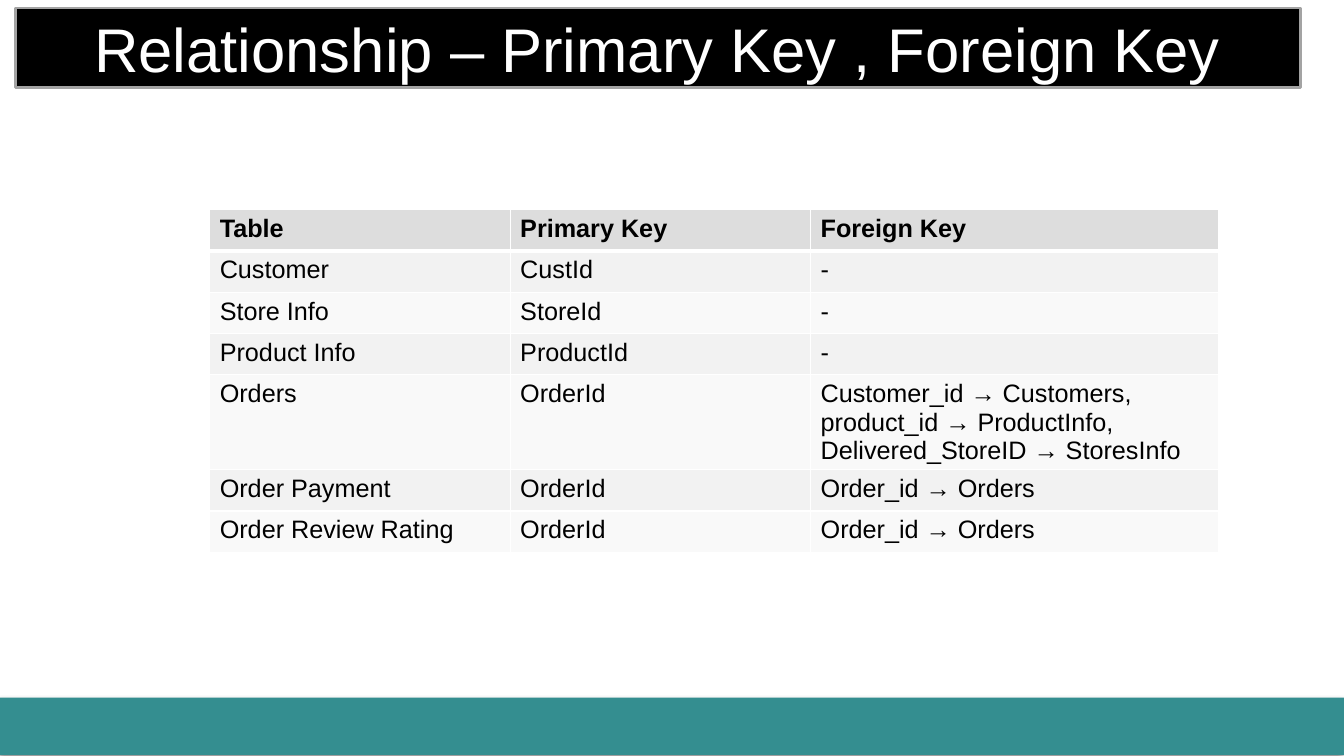
from lxml.etree import SubElement
from pptx import Presentation
from pptx.dml.color import RGBColor
from pptx.enum.shapes import MSO_SHAPE
from pptx.enum.text import MSO_ANCHOR, PP_ALIGN
from pptx.oxml import parse_xml
from pptx.oxml.ns import nsdecls, qn
from pptx.util import Inches, Pt

WIDTH, HEIGHT = 13.33, 7.5
FONT = "Arial"
COLORS = {
    "band": "348E90",
    "title": "000000",
    "title_line": "A3A3A3",
    "light": "FFFFFF",
    "text": "000000",
    "header": "DDDDDD",
    "odd": "F2F2F2",
    "even": "F9F9F9",
}
COL_WIDTHS = [2.98, 2.98, 4.05]
ROW_HEIGHT, ORDERS_HEIGHT = 0.41, 0.94
ROWS = [
    ("Table", "Primary Key", "Foreign Key"),
    ("Customer", "CustId", "-"),
    ("Store Info", "StoreId", "-"),
    ("Product Info", "ProductId", "-"),
    ("Orders", "OrderId",
     "Customer_id → Customers, product_id → ProductInfo, Delivered_StoreID → StoresInfo"),
    ("Order Payment", "OrderId", "Order_id → Orders"),
    ("Order Review Rating", "OrderId", "Order_id → Orders"),
]
ORDERS_ROW = 4


def rgb(name):
    return RGBColor.from_string(COLORS[name])


def format_runs(tf, size, color, bold=False):
    for p in tf.paragraphs:
        for r in p.runs:
            r.font.name = FONT
            r.font.size = Pt(size)
            r.font.bold = bold
            r.font.color.rgb = rgb(color)


def add_rect(slide, left, top, width, height, fill):
    sp = slide.shapes.add_shape(
        MSO_SHAPE.RECTANGLE, *map(Inches, (left, top, width, height)))
    sp.shadow.inherit = False
    sp.fill.solid()
    sp.fill.fore_color.rgb = rgb(fill)
    sp.line.fill.background()
    return sp


def add_band(slide):
    sp = add_rect(slide, 0, 6.92, WIDTH, 0.57, "band")
    effects = sp._element.spPr.find(qn("a:effectLst"))
    effects.append(parse_xml(
        f'<a:outerShdw {nsdecls("a")} blurRad="{Pt(4)}" dist="{Pt(3)}" '
        f'dir="{135 * 60000}" rotWithShape="0"><a:srgbClr val="000000">'
        '<a:alpha val="40000"/></a:srgbClr></a:outerShdw>'))


def add_title(slide, text):
    sp = add_rect(slide, 0.15, 0.08, 12.75, 0.79, "title")
    sp.line.color.rgb = rgb("title_line")
    sp.line.width = Pt(2)
    tf = sp.text_frame
    tf.word_wrap = True
    tf.vertical_anchor = MSO_ANCHOR.MIDDLE
    tf.text = text
    tf.paragraphs[0].alignment = PP_ALIGN.CENTER
    format_runs(tf, 44, "light")


def set_borders(cell, bottom):
    tcPr = cell._tc.get_or_add_tcPr()
    for side, width in (("L", 1), ("R", 1), ("T", 1), ("B", bottom)):
        ln = SubElement(tcPr, qn(f"a:ln{side}"), w=str(Pt(width)))
        fill = SubElement(ln, qn("a:solidFill"))
        SubElement(fill, qn("a:srgbClr"), val=COLORS["light"])


def format_cell(cell, text, fill, header):
    set_borders(cell, 3 if header else 1)
    cell.fill.solid()
    cell.fill.fore_color.rgb = rgb(fill)
    cell.text_frame.text = text
    format_runs(cell.text_frame, 18, "text", header)


def add_key_table(slide):
    heights = [ORDERS_HEIGHT if i == ORDERS_ROW else ROW_HEIGHT for i in range(len(ROWS))]
    table = slide.shapes.add_table(
        len(ROWS), len(COL_WIDTHS), Inches(2.08), Inches(2.08),
        Inches(sum(COL_WIDTHS)), Inches(sum(heights))).table
    for column, width in zip(table.columns, COL_WIDTHS):
        column.width = Inches(width)
    for i, (values, height) in enumerate(zip(ROWS, heights)):
        table.rows[i].height = Inches(height)
        fill = "header" if i == 0 else "odd" if i % 2 else "even"
        for j, text in enumerate(values):
            format_cell(table.cell(i, j), text, fill, i == 0)
    table.cell(ORDERS_ROW, 2).vertical_anchor = MSO_ANCHOR.MIDDLE


def main():
    prs = Presentation()
    prs.slide_width, prs.slide_height = Inches(WIDTH), Inches(HEIGHT)
    slide = prs.slides.add_slide(prs.slide_layouts[6])
    add_band(slide)
    add_title(slide, "Relationship – Primary Key , Foreign Key")
    add_key_table(slide)
    prs.save("out.pptx")


if __name__ == "__main__":
    main()
